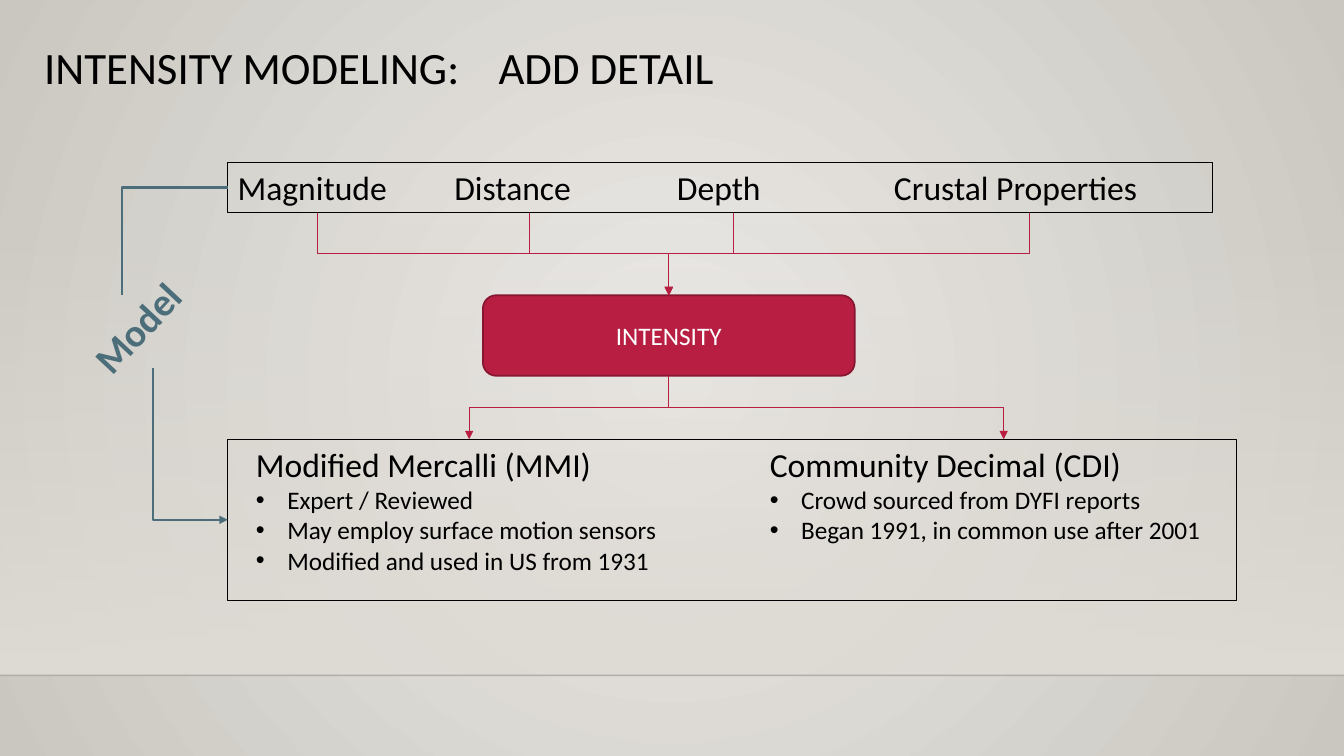
from dataclasses import dataclass

import pptx
import pptx.dml.color
import pptx.enum.dml
import pptx.enum.shapes
import pptx.enum.text
import pptx.oxml
import pptx.oxml.ns
import pptx.util
from pptx.util import Cm, Pt

COLORS = {
    "black": "000000", "white": "FFFFFF", "red": "B71E42", "dark_red": "871631",
    "teal": "4C6E7A", "center": "ECEAE7", "edge": "CAC7C1", "floor": "DFDBD5",
}
FONT = "Calibri"
SLIDE_WIDTH, SLIDE_HEIGHT = 33.87, 19.05
FLOOR_TOP, FLOOR_BOTTOM = 5.61, 17.02


@dataclass
class Box:
    left: float
    top: float
    width: float
    height: float

    @property
    def center(self) -> float:
        return self.left + self.width / 2

    @property
    def middle(self) -> float:
        return self.top + self.height / 2

    @property
    def bottom(self) -> float:
        return self.top + self.height

    def lengths(self) -> list:
        return [Cm(value) for value in (self.left, self.top, self.width, self.height)]


@dataclass
class TextItem:
    box: Box
    heading: str
    bullets: tuple = ()


@dataclass
class Elbow:
    start: tuple
    end: tuple
    preset: str
    rotation: int
    flip: str
    color: str
    width: float
    arrow: bool = True


INPUT_FRAME = Box(5.74, 4.09, 24.82, 1.27)
SCALE_FRAME = Box(5.74, 11.07, 25.43, 4.06)
INTENSITY = Box(12.17, 7.44, 9.37, 2.03)
MODEL = Box(1.83, 7.44, 3.4, 1.45)

INPUTS = [
    TextItem(Box(left, INPUT_FRAME.top, width, INPUT_FRAME.height), heading)
    for heading, left, width in (
        ("Magnitude", 5.74, 4.5), ("Distance", 11.2, 4.29),
        ("Depth", 16.81, 3.35), ("Crustal Properties", 22.28, 7.34))
]
SCALES = [
    TextItem(Box(6.2, SCALE_FRAME.top, 11.25, 3.58), "Modified Mercalli (MMI)",
             ("Expert / Reviewed", "May employ surface motion sensors",
              "Modified and used in US from 1931")),
    TextItem(Box(19.15, SCALE_FRAME.top, 12.29, 2.82), "Community Decimal (CDI)",
             ("Crowd sourced from DYFI reports", "Began 1991, in common use after 2001")),
]


def rgb(name: str) -> pptx.dml.color.RGBColor:
    return pptx.dml.color.RGBColor.from_string(COLORS[name])


def add_xml(parent, tag: str, **attributes):
    element = pptx.oxml.parse_xml(f"<a:{tag} {pptx.oxml.ns.nsdecls('a')}/>")
    for name, value in attributes.items():
        element.set(name, str(value))
    parent.append(element)
    return element


def format_paragraph(paragraph, size: float, color: str, bold: bool = False) -> None:
    for run in paragraph.runs:
        run.font.name = FONT
        run.font.size = Pt(size)
        run.font.bold = bold
        run.font.color.rgb = rgb(color)


def set_gradient(fill, first: str, last: str) -> None:
    fill.gradient()
    for stop, color in zip(fill.gradient_stops, (first, last)):
        stop.color.rgb = rgb(color)


def add_text(slide, item: TextItem, size: float = 24, color: str = "black",
             bold: bool = False):
    shape = slide.shapes.add_textbox(*item.box.lengths())
    frame = shape.text_frame
    frame.word_wrap = True
    frame.text = item.heading
    format_paragraph(frame.paragraphs[0], size, color, bold)
    for bullet in item.bullets:
        paragraph = frame.add_paragraph()
        paragraph.text = bullet
        properties = paragraph._p.get_or_add_pPr()
        properties.set("marL", str(Cm(0.79)))
        properties.set("indent", str(-Cm(0.79)))
        add_xml(properties, "buFont", typeface="Arial")
        add_xml(properties, "buChar", char="•")
        format_paragraph(paragraph, 18, color)
    return shape


def add_shape(slide, kind, box: Box, line: str, width: float, fill: str = ""):
    shape = slide.shapes.add_shape(kind, *box.lengths())
    shape.shadow.inherit = False
    if fill:
        shape.fill.solid()
        shape.fill.fore_color.rgb = rgb(fill)
    else:
        shape.fill.background()
    shape.line.color.rgb = rgb(line)
    shape.line.width = Pt(width)
    return shape


def add_connector(slide, kind, box: Box, color: str, width: float):
    connector = slide.shapes.add_connector(
        kind, Cm(box.left), Cm(box.top), Cm(box.left + box.width), Cm(box.bottom))
    connector.line.color.rgb = rgb(color)
    connector.line.width = Pt(width)
    add_xml(connector._element.spPr, "effectLst")
    return connector


def add_elbow(slide, elbow: Elbow) -> None:
    (x1, y1), (x2, y2) = elbow.start, elbow.end
    width, height = abs(x2 - x1), abs(y2 - y1)
    if elbow.rotation in (90, 270):
        width, height = height, width
    box = Box((x1 + x2 - width) / 2, (y1 + y2 - height) / 2, width, height)
    connector = add_connector(slide, pptx.enum.shapes.MSO_CONNECTOR.ELBOW, box,
                              elbow.color, elbow.width)
    properties = connector._element.spPr
    properties.find(pptx.oxml.ns.qn("a:prstGeom")).set("prst", elbow.preset)
    transform = properties.find(pptx.oxml.ns.qn("a:xfrm"))
    transform.set("rot", str(elbow.rotation * 60000))
    if elbow.flip:
        transform.set(elbow.flip, "1")
    if elbow.arrow:
        add_xml(connector.line._get_or_add_ln(), "tailEnd", type="triangle")


def drop(start: tuple, end: tuple) -> Elbow:
    """Red arrow that goes down, across and down."""
    rotation, flip = (270, "flipH") if end[0] > start[0] else (90, "")
    return Elbow(start, end, "bentConnector3", rotation, flip, "red", 0.75)


def add_backdrop(slide) -> None:
    # Radial slide background
    set_gradient(slide.background.fill, "center", "edge")
    gradient = next(slide.element.iter(pptx.oxml.ns.qn("a:gradFill")))
    gradient.remove(gradient.find(pptx.oxml.ns.qn("a:lin")))
    radial = add_xml(gradient, "path", path="circle")
    add_xml(radial, "fillToRect", l=50000, t=50000, r=50000, b=50000)

    # Floor that fades in downwards, and its edge
    floor = slide.shapes.add_shape(
        pptx.enum.shapes.MSO_SHAPE.RECTANGLE,
        *Box(0, FLOOR_TOP, SLIDE_WIDTH, FLOOR_BOTTOM - FLOOR_TOP).lengths())
    floor.shadow.inherit = False
    floor.line.fill.background()
    set_gradient(floor.fill, "floor", "floor")
    floor.fill.gradient_angle = 270
    add_xml(next(floor._element.iter(pptx.oxml.ns.qn("a:srgbClr"))), "alpha", val=0)
    edge = add_connector(slide, pptx.enum.shapes.MSO_CONNECTOR.STRAIGHT,
                         Box(0, FLOOR_BOTTOM, SLIDE_WIDTH, 0), "black", 1)
    add_xml(next(edge._element.iter(pptx.oxml.ns.qn("a:srgbClr"))), "alpha", val=20000)


def add_title(slide) -> None:
    title = slide.shapes.title
    title.left, title.top, title.width, title.height = Box(0.86, 1.02, 26.67, 2.92).lengths()
    frame = title.text_frame
    frame.text = "INTENSITY MODELING:\tADD DETAIL"
    frame.word_wrap = True
    frame.auto_size = pptx.enum.text.MSO_AUTO_SIZE.NONE
    frame.vertical_anchor = pptx.enum.text.MSO_ANCHOR.TOP
    paragraph = frame.paragraphs[0]
    paragraph.alignment = pptx.enum.text.PP_ALIGN.LEFT
    paragraph.line_spacing = 0.9
    tabs = add_xml(paragraph._p.get_or_add_pPr(), "tabLst")
    add_xml(tabs, "tab", pos=Cm(11.45), algn="l")
    format_paragraph(paragraph, 32, "black")


def main() -> None:
    presentation = pptx.Presentation()
    presentation.slide_width, presentation.slide_height = Cm(SLIDE_WIDTH), Cm(SLIDE_HEIGHT)
    slide = presentation.slides.add_slide(presentation.slide_layouts[5])
    add_backdrop(slide)
    add_title(slide)

    # Intensity box
    intensity = add_shape(slide, pptx.enum.shapes.MSO_SHAPE.ROUNDED_RECTANGLE,
                          INTENSITY, "dark_red", 1.25, "red")
    intensity.text_frame.text = "INTENSITY"
    intensity.text_frame.vertical_anchor = pptx.enum.text.MSO_ANCHOR.MIDDLE
    intensity.text_frame.paragraphs[0].alignment = pptx.enum.text.PP_ALIGN.CENTER
    format_paragraph(intensity.text_frame.paragraphs[0], 18, "white")

    # Inputs, scales and model label
    for item in INPUTS + SCALES:
        add_text(slide, item)
    model = add_text(slide, TextItem(MODEL, "Model"), 28, "teal", True)
    model.text_frame.word_wrap = False
    model.rotation = 313
    for frame in (INPUT_FRAME, SCALE_FRAME):
        add_shape(slide, pptx.enum.shapes.MSO_SHAPE.RECTANGLE, frame, "black", 0.75)

    # Arrows into and out of intensity, then the model path
    elbows = [drop((item.box.center, item.box.bottom), (INTENSITY.center, INTENSITY.top))
              for item in INPUTS]
    elbows += [drop((INTENSITY.center, INTENSITY.bottom), (item.box.center, item.box.top))
               for item in SCALES]
    elbows += [
        Elbow((INPUT_FRAME.left, INPUT_FRAME.middle), (3.07, MODEL.top),
              "bentConnector2", 180, "flipV", "teal", 1.5, False),
        Elbow((3.86, 9.27), (SCALE_FRAME.left, SCALE_FRAME.middle),
              "bentConnector2", 270, "flipH", "teal", 1.5),
    ]
    for elbow in elbows:
        add_elbow(slide, elbow)
    presentation.save("out.pptx")


if __name__ == "__main__":
    main()
